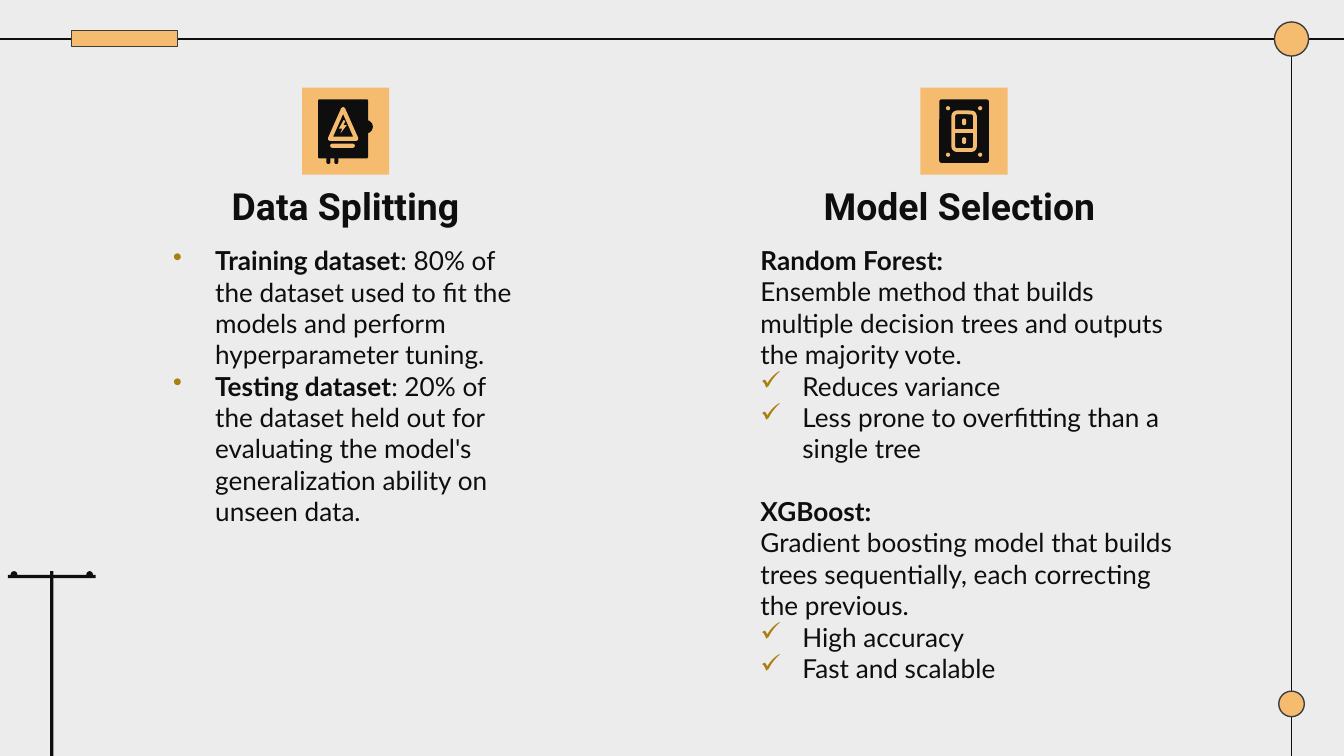
from pptx import Presentation
from pptx.dml.color import RGBColor
from pptx.enum.shapes import MSO_CONNECTOR, MSO_SHAPE
from pptx.enum.text import MSO_ANCHOR, PP_ALIGN
from pptx.oxml.ns import qn
from pptx.util import Pt
from lxml import etree

RECT, ROUND = MSO_SHAPE.RECTANGLE, MSO_SHAPE.ROUNDED_RECTANGLE
OVAL, TRIANGLE = MSO_SHAPE.OVAL, MSO_SHAPE.ISOSCELES_TRIANGLE
STRAIGHT = MSO_CONNECTOR.STRAIGHT
TOP, BOTTOM = MSO_ANCHOR.TOP, MSO_ANCHOR.BOTTOM
LEFT, CENTER = PP_ALIGN.LEFT, PP_ALIGN.CENTER

PAPER = RGBColor(0xEC, 0xEC, 0xEC)
INK = RGBColor(0x0E, 0x0E, 0x0E)
AMBER = RGBColor(0xF5, 0xBC, 0x6F)
EDGE = RGBColor(0x3D, 0x3D, 0x3D)
BULLET = RGBColor(0xAC, 0x7D, 0x0F)

BODY = {"name": "Lato", "size": Pt(14)}
HEADING = {"name": "Roboto", "size": Pt(20), "bold": True}
INDENT = 22.5
BODY_LINE = 16.8
TILE_TOP, TILE_SIZE = 46.9, 46.7

# Each paragraph: bullet, space before, then (text, bold) runs
SPLITTING = [
    ("•", 0, [("Training dataset", True),
              (": 80% of the dataset used to fit the models and perform "
               "hyperparameter tuning.", False)]),
    ("•", 0, [("Testing dataset", True),
              (": 20% of the dataset held out for evaluating the model's "
               "generalization ability on unseen data.", False)]),
]
SELECTION = [
    (None, 0, [("Random Forest:", True)]),
    (None, 0, [("Ensemble method that builds multiple decision trees and "
                "outputs the majority vote.", False)]),
    ("✓", 0, [("Reduces variance", False)]),
    ("✓", 0, [("Less prone to overfitting than a single tree", False)]),
    (None, BODY_LINE, [("XGBoost:", True)]),
    (None, 0, [("Gradient boosting model that builds trees sequentially, "
                "each correcting the previous.", False)]),
    ("✓", 0, [("High accuracy", False)]),
    ("✓", 0, [("Fast and scalable", False)]),
]


def paint(shape, fill, line=None, width=0.75):
    shape.shadow.inherit = False
    shape.fill.solid()
    shape.fill.fore_color.rgb = fill
    if line is None:
        shape.line.fill.background()
    else:
        shape.line.color.rgb = line
        shape.line.width = Pt(width)


def add_figure(page, kind, box, fill, line=None, width=0.75, corner=0.08):
    shape = page.shapes.add_shape(kind, *map(Pt, box))
    if kind == ROUND:
        shape.adjustments[0] = corner
    paint(shape, fill, line, width)


def add_disc(page, x, y, size, fill, line=None):
    add_figure(page, OVAL, (x - size / 2, y - size / 2, size, size), fill, line)


def add_line(page, *ends):
    line = page.shapes.add_connector(STRAIGHT, *map(Pt, ends))
    line.line.color.rgb = INK
    line.line.width = Pt(0.75)
    etree.SubElement(line._element.spPr, qn("a:effectLst"))


def add_bullet(para, mark):
    props = para._p.get_or_add_pPr()
    props.set("marL", str(Pt(INDENT)))
    props.set("indent", str(-Pt(INDENT)))
    color = etree.SubElement(props, qn("a:buClr"))
    etree.SubElement(color, qn("a:srgbClr"), val=str(BULLET))
    etree.SubElement(props, qn("a:buChar"), char=mark)


def add_text(page, box, paragraphs, style, align=LEFT, anchor=TOP):
    frame = page.shapes.add_textbox(*map(Pt, box)).text_frame
    layout = {"word_wrap": True, "vertical_anchor": anchor}
    for side in ("left", "right", "top", "bottom"):
        layout["margin_" + side] = Pt(7.2)
    for key, value in layout.items():
        setattr(frame, key, value)
    for index, (mark, gap, runs) in enumerate(paragraphs):
        para = frame.add_paragraph() if index else frame.paragraphs[0]
        para.alignment = align
        if gap:
            para.space_before = Pt(gap)
        if mark:
            add_bullet(para, mark)
        for text, bold in runs:
            span = para.add_run()
            span.text = text
            for key, value in {**style, "bold": bold}.items():
                setattr(span.font, key, value)
            span.font.color.rgb = INK


def add_frame(page):
    add_line(page, 0, 20.9, 720, 20.9)
    add_line(page, 691.9, 20.9, 691.9, 405)
    add_figure(page, RECT, (38.2, 16.4, 57.1, 8.6), AMBER, EDGE)
    add_disc(page, 691.9, 20.9, 18.3, AMBER, EDGE)
    add_disc(page, 691.9, 377.1, 13.7, AMBER, EDGE)


def add_utility_pole(page):
    add_figure(page, RECT, (4.3, 308, 47, 1.7), INK)
    add_figure(page, RECT, (26.8, 306, 1.9, 99), INK)
    for x in (7.5, 48):
        add_disc(page, x, 307.8, 3.6, INK)


def add_tile(page, left):
    add_figure(page, RECT, (left, TILE_TOP, TILE_SIZE, TILE_SIZE), AMBER)


def add_panel_icon(page, left):
    def at(x, y, width, height):
        return left + x, TILE_TOP + y, width, height

    add_tile(page, left)
    for x in (13, 17.3):  # cable ends
        add_figure(page, ROUND, at(x, 35, 2.2, 6), INK, corner=0.5)
    add_disc(page, left + 34.4, TILE_TOP + 21, 7.2, INK)
    add_figure(page, ROUND, at(8.6, 6.3, 26.8, 31.7), INK, corner=0.03)
    # Warning sign with a lightning bolt
    add_figure(page, TRIANGLE, at(14.9, 11.5, 14.2, 16), INK, AMBER, 2.2)
    add_figure(page, ROUND, at(15.1, 30.1, 13.2, 2.2), AMBER, corner=0.5)
    bolt = [(22.3, 17.5), (19.8, 22), (21.6, 22), (20.6, 24.6),
            (24, 20.2), (22.3, 20.2), (23.3, 17.8)]
    points = [(Pt(left + x), Pt(TILE_TOP + y)) for x, y in bolt]
    builder = page.shapes.build_freeform(*points[0])
    builder.add_line_segments(points[1:])
    paint(builder.convert_to_shape(), AMBER)


def add_switch_icon(page, left):
    def at(x, y, width, height):
        return left + x, TILE_TOP + y, width, height

    add_tile(page, left)
    add_figure(page, ROUND, at(10.1, 6.3, 26.6, 34.1), INK, corner=0.05)
    for x in (14.8, 32):  # corner screws
        for y in (11.1, 36):
            add_disc(page, left + x, TILE_TOP + y, 2.2, AMBER)
    add_figure(page, ROUND, at(17.6, 13.3, 11.6, 20.2), INK, AMBER, 2, 0.17)
    add_figure(page, RECT, at(17.6, 22.3, 11.6, 2.1), AMBER)
    for y in (16.6, 26.6):  # slots
        add_figure(page, ROUND, at(22.3, y, 2.2, 3.6), AMBER, corner=0.5)


def main():
    deck = Presentation()
    deck.slide_width, deck.slide_height = Pt(720), Pt(405)
    page = deck.slides.add_slide(deck.slide_layouts[6])
    page.background.fill.solid()
    page.background.fill.fore_color.rgb = PAPER

    # Decoration
    add_frame(page)
    add_utility_pole(page)

    # Body columns
    add_text(page, (85.7, 123.8, 198, 174.2), SPLITTING, BODY)
    add_text(page, (400.3, 123.8, 244, 244.8), SELECTION, BODY)

    # Headings
    for left, title in ((98.4, "Data Splitting"), (429.8, "Model Selection ")):
        add_text(page, (left, 93.6, 173.5, 36), [(None, 0, [(title, True)])],
                 HEADING, CENTER, BOTTOM)

    # Icons
    add_panel_icon(page, 161.8)
    add_switch_icon(page, 493.1)
    deck.save("out.pptx")


if __name__ == "__main__":
    main()
